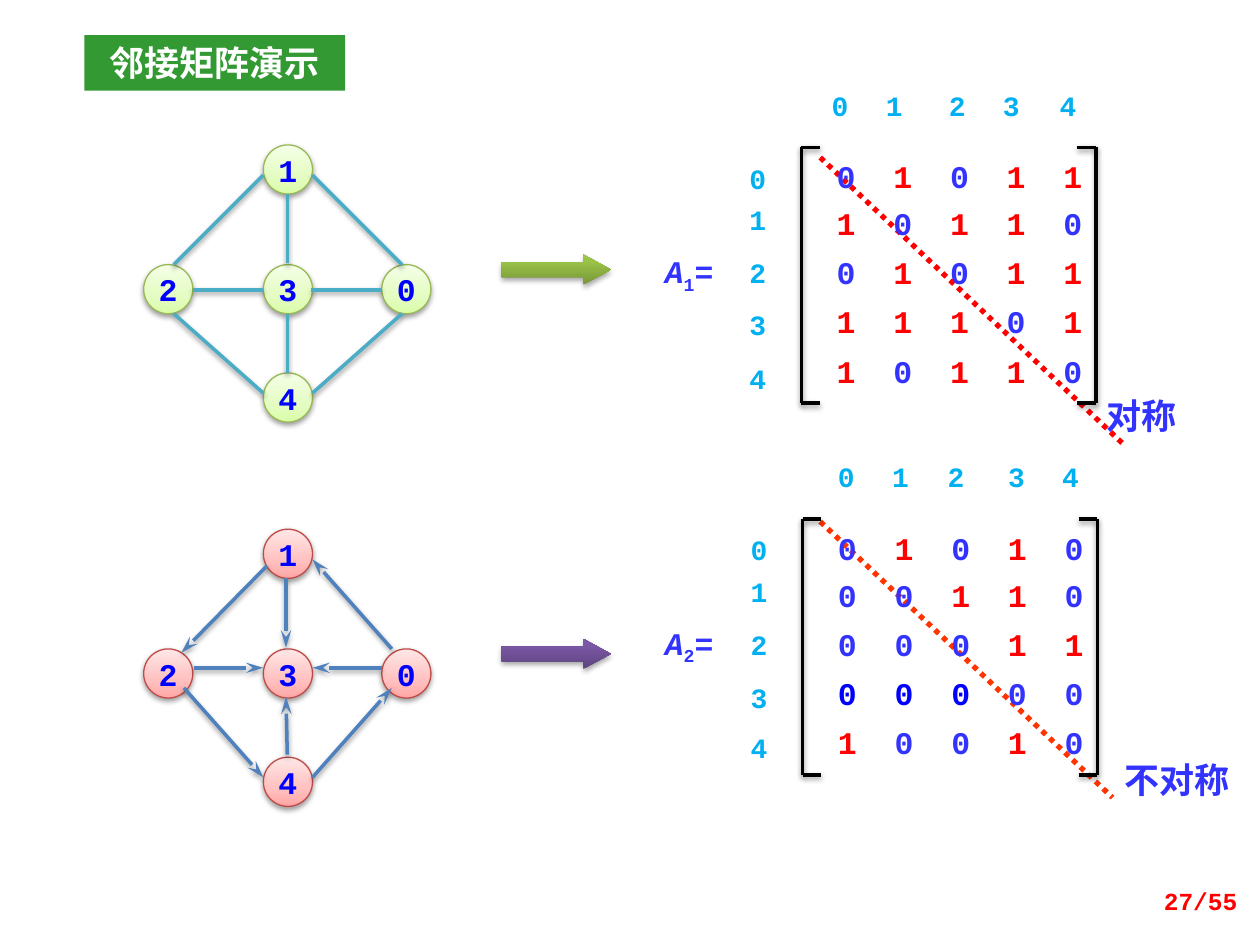
from pptx import Presentation
from pptx.dml.color import RGBColor
from pptx.enum.dml import MSO_LINE
from pptx.enum.shapes import MSO_CONNECTOR, MSO_SHAPE
from pptx.enum.text import MSO_ANCHOR as ANCHOR, PP_ALIGN as ALIGN
from pptx.oxml import parse_xml
from pptx.oxml.ns import nsdecls
from pptx.util import Inches, Pt
from lxml.etree import SubElement

C = {
    "digit": "0000FF", "blue": "3333FF", "red": "FF0000", "orange": "FF3300",
    "index": "00B0F0", "title": "339933", "white": "FFFFFF", "black": "000000",
    "edge": "4BACC6", "arc": "4F81BD", "green_rim": "98B955", "pink_rim": "BF4C48",
}
GRAD = {  # position in percent, colour; running upwards
    "green": [(0, "DAFDA7"), (35, "E4FCC2"), (100, "F5FFE7")],
    "pink": [(0, "FFA6A5"), (35, "FFC0BF"), (100, "FFE7E7")],
    "olive": [(0, "779737"), (80, "9BC348"), (100, "9DC746")],
    "purple": [(0, "5F4480"), (80, "7B58A6"), (100, "7C57A8")],
}
MONO, CJK = "Courier New", "Noto Sans CJK SC"

prs = Presentation()
prs.slide_width, prs.slide_height = Inches(10), Inches(7.5)
s = prs.slides.add_slide(prs.slide_layouts[6])


def write(sp, text, size=18, color="blue", font=MONO, align=ALIGN.CENTER,
          anchor=ANCHOR.TOP, inset=None, wrap=True, tabs=()):
    """Fill sp with one paragraph; text is a string or (text, format) pairs."""
    tf = sp.text_frame
    tf.word_wrap, tf.vertical_anchor = wrap, anchor
    if inset is not None:
        tf.margin_left = tf.margin_right = Inches(inset)
        tf.margin_top = tf.margin_bottom = Inches(inset)
    p = tf.paragraphs[0]
    p.alignment = align
    if tabs:
        stops = "".join(f'<a:tab pos="{Inches(t)}" algn="l"/>' for t in tabs)
        p._p.get_or_add_pPr().append(
            parse_xml(f'<a:tabLst {nsdecls("a")}>{stops}</a:tabLst>'))
    for part, fmt in [(text, {})] if isinstance(text, str) else text:
        r = p.add_run()
        r.text = part
        f = r.font
        f.name, f.size, f.bold = font, Pt(size), True
        f.italic = fmt.get("italic", False)
        f.color.rgb = RGBColor.from_string(C[fmt.get("color", color)])
        rpr = r._r.get_or_add_rPr()
        SubElement(rpr, rpr[-1].tag[:-5] + "ea", typeface=font)
        if "baseline" in fmt:
            rpr.set("baseline", str(fmt["baseline"]))


def set_shadow(sp, alpha=38, dist=1.6):
    """Give sp a soft shadow below, or none when alpha is 0."""
    shadow = (f'<a:outerShdw blurRad="{Pt(3.1)}" dist="{Pt(dist)}" dir="5400000" '
              f'rotWithShape="0"><a:srgbClr val="000000"><a:alpha val="{alpha * 1000}"/>'
              '</a:srgbClr></a:outerShdw>') if alpha else ""
    sp._element.spPr.append(
        parse_xml(f'<a:effectLst {nsdecls("a")}>{shadow}</a:effectLst>'))


# Title
sp = s.shapes.add_shape(MSO_SHAPE.RECTANGLE, Inches(0.67), Inches(0.28),
                        Inches(2.07), Inches(0.44))
sp.fill.solid()
sp.fill.fore_color.rgb = RGBColor.from_string(C["title"])
sp.line.fill.background()
sp.shadow.inherit = False
write(sp, "邻接矩阵演示", size=20, color="white", font=CJK, anchor=ANCHOR.MIDDLE)

# Graph nodes and the block arrow beside each graph
NODES = [("1", 2.09, 1.15), ("3", 2.09, 2.1), ("2", 1.14, 2.1),
         ("0", 3.03, 2.1), ("4", 2.09, 2.96)]
GRAPHS = [(0, "green", "green_rim", "olive"), (3.05, "pink", "pink_rim", "purple")]
for dy, node_grad, rim, arrow_grad in GRAPHS:
    for label, x, y in NODES + [("", 3.98, 2.02)]:
        kind, w, h, grad = ((MSO_SHAPE.OVAL, 0.39, 0.39, node_grad) if label
                            else (MSO_SHAPE.RIGHT_ARROW, 0.87, 0.24, arrow_grad))
        sp = s.shapes.add_shape(kind, Inches(x), Inches(y + dy), Inches(w), Inches(h))
        stops = "".join(f'<a:gs pos="{pos * 1000}"><a:srgbClr val="{c}"/></a:gs>'
                        for pos, c in GRAD[grad])
        sp._element.spPr.append(parse_xml(
            f'<a:gradFill {nsdecls("a")} rotWithShape="1"><a:gsLst>{stops}</a:gsLst>'
            '<a:lin ang="16200000" scaled="0"/></a:gradFill>'))
        if label:
            sp.line.color.rgb = RGBColor.from_string(C[rim])
            sp.line.width = Pt(0.75)
            set_shadow(sp)
            write(sp, label, color="digit", anchor=ANCHOR.MIDDLE, wrap=False)
        else:
            sp.adjustments[0], sp.adjustments[1] = 0.5, 0.917
            sp.line.fill.background()
            set_shadow(sp, alpha=35, dist=1.8)

# Lines: edges, arcs, diagonals and brackets, as (x1, y1, x2, y2)
EDGES = [(2.09, 1.39, 1.38, 2.1), (2.48, 1.39, 3.19, 2.1), (1.53, 2.3, 2.09, 2.3),
         (2.47, 2.3, 3.03, 2.3), (2.28, 1.54, 2.28, 2.09), (1.38, 2.49, 2.09, 3.12),
         (2.28, 2.49, 2.28, 2.96), (3.19, 2.49, 2.48, 3.12)]
ARCS = [(2.12, 4.49, 1.44, 5.18), (2.27, 4.59, 2.27, 5.14), (3.11, 5.15, 2.48, 4.44),
        (1.54, 5.3, 2.09, 5.3), (3.03, 5.3, 2.48, 5.3), (2.28, 5.99, 2.27, 5.53),
        (2.48, 6.17, 3.11, 5.46), (1.46, 5.46, 2.09, 6.17)]
BRACKETS = []
for left, top in [(6.36, 1.17), (6.37, 4.12)]:
    right, bottom = left + 2.34, top + 2.03
    for x, serif in [(left, 0.15), (right, -0.15)]:
        BRACKETS += [(x, top, x, bottom), (x, top, x + serif, top),
                     (x, bottom, x + serif, bottom)]
LINES = [("edge", EDGES), ("arc", ARCS), ("red", [(6.51, 1.25, 8.91, 3.52)]),
         ("orange", [(6.51, 4.14, 8.83, 6.33)]), ("black", BRACKETS)]
for color, segments in LINES:
    dotted = color in ("red", "orange")
    for ends in segments:
        line = s.shapes.add_connector(MSO_CONNECTOR.STRAIGHT, *map(Inches, ends))
        line.line.color.rgb = RGBColor.from_string(C[color])
        line.line.width = Pt(3 if dotted else 2)
        if dotted:
            line.line.dash_style = MSO_LINE.ROUND_DOT
        if color == "arc":
            line.line._get_or_add_ln().append(parse_xml(
                f'<a:tailEnd {nsdecls("a")} type="stealth" w="med" len="lg"/>'))
        set_shadow(line, alpha=0 if dotted else 38)

# Matrices: place, values, row index tops, column index place and offsets
MATRICES = [
    dict(name="1", x=6.64, y=1.25, rows=["01011", "10110", "01011", "11101", "10110"],
         index_y=[1.28, 1.61, 2.03, 2.44, 2.87], head=(6.6, 0.7),
         tabs=[0.43, 0.93, 1.36, 1.81], name_y=1.95),
    dict(name="2", x=6.65, y=4.2, rows=["01010", "00110", "00011", "00000", "10010"],
         index_y=[4.23, 4.56, 4.98, 5.4, 5.8], head=(6.65, 3.65),
         tabs=[0.43, 0.87, 1.35, 1.78], name_y=4.9),
]
ROW_OFFSETS = [0, 0.37, 0.76, 1.15, 1.54]
CELL_TABS = [0.45 * i for i in range(1, 5)]
for m in MATRICES:
    sp = s.shapes.add_textbox(Inches(5.08), Inches(m["name_y"]), Inches(0.78), Inches(0.4))
    write(sp, [("A", {"italic": True}), (m["name"], {"baseline": -25000}), ("=", {})])
    for i, (row, offset) in enumerate(zip(m["rows"], ROW_OFFSETS)):
        runs = []
        for j, value in enumerate(row):
            deep = m["name"] == "2" and i == 3 and j < 3
            color = "red" if value == "1" else "digit" if deep else "blue"
            runs.append(("\t" * (j > 0) + value, {"color": color}))
        sp = s.shapes.add_textbox(Inches(m["x"]), Inches(m["y"] + offset),
                                  Inches(1.97), Inches(0.3))
        write(sp, runs, align=ALIGN.LEFT, inset=0, tabs=CELL_TABS)
        sp = s.shapes.add_textbox(Inches(m["x"] - 0.86), Inches(m["index_y"][i]),
                                  Inches(0.47), Inches(0.27))
        write(sp, str(i), size=16, color="index", inset=0)
    sp = s.shapes.add_textbox(*map(Inches, m["head"]), Inches(2.15), Inches(0.34))
    write(sp, "0\t1\t2\t3\t4", size=16, color="index", align=ALIGN.LEFT,
          inset=0, tabs=m["tabs"])

# Symmetry notes
for text, x, y, w in [("对称", 8.59, 3.08, 0.94), ("不对称", 8.75, 5.97, 1.18)]:
    sp = s.shapes.add_textbox(Inches(x), Inches(y), Inches(w), Inches(0.44))
    write(sp, text, size=20, font=CJK)

# Page number
sp = s.shapes.add_textbox(Inches(7.59), Inches(6.95), Inches(2.33), Inches(0.4))
write(sp, "27/55", size=14, color="red", align=ALIGN.RIGHT, anchor=ANCHOR.MIDDLE)

prs.save("out.pptx")
